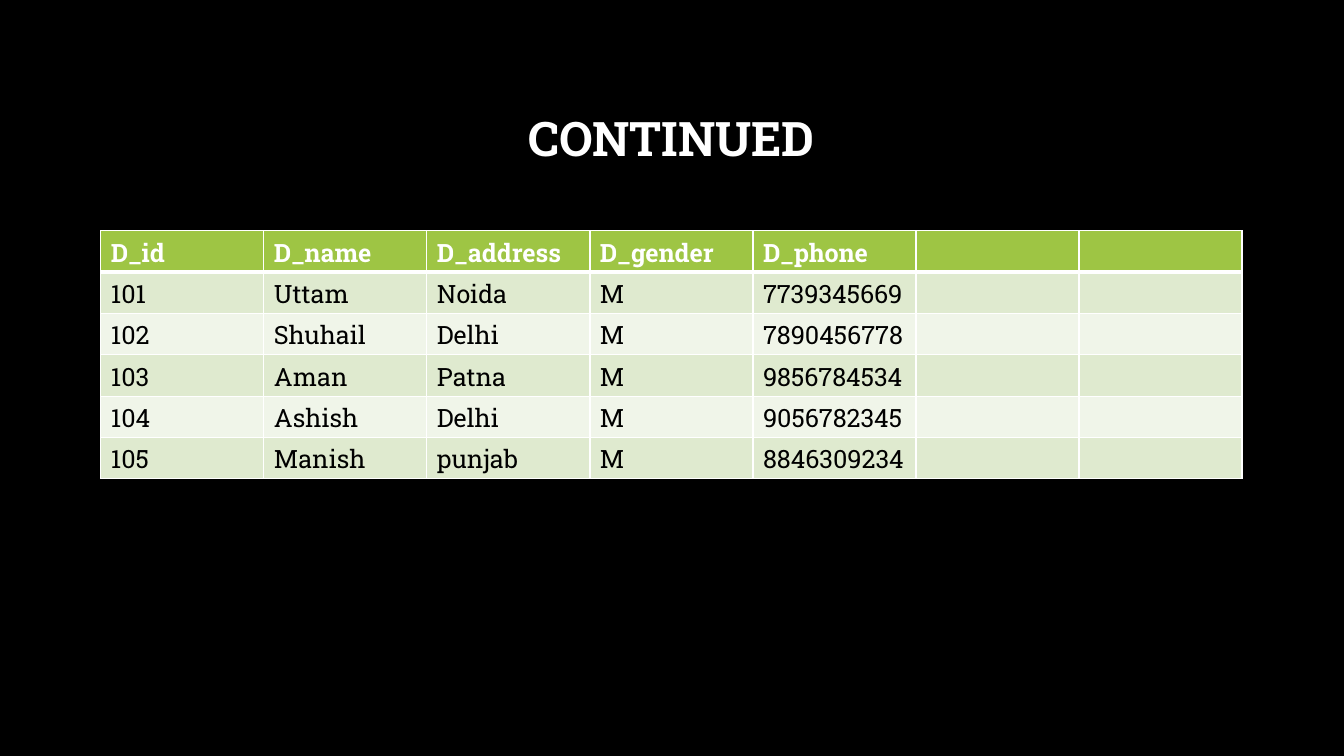
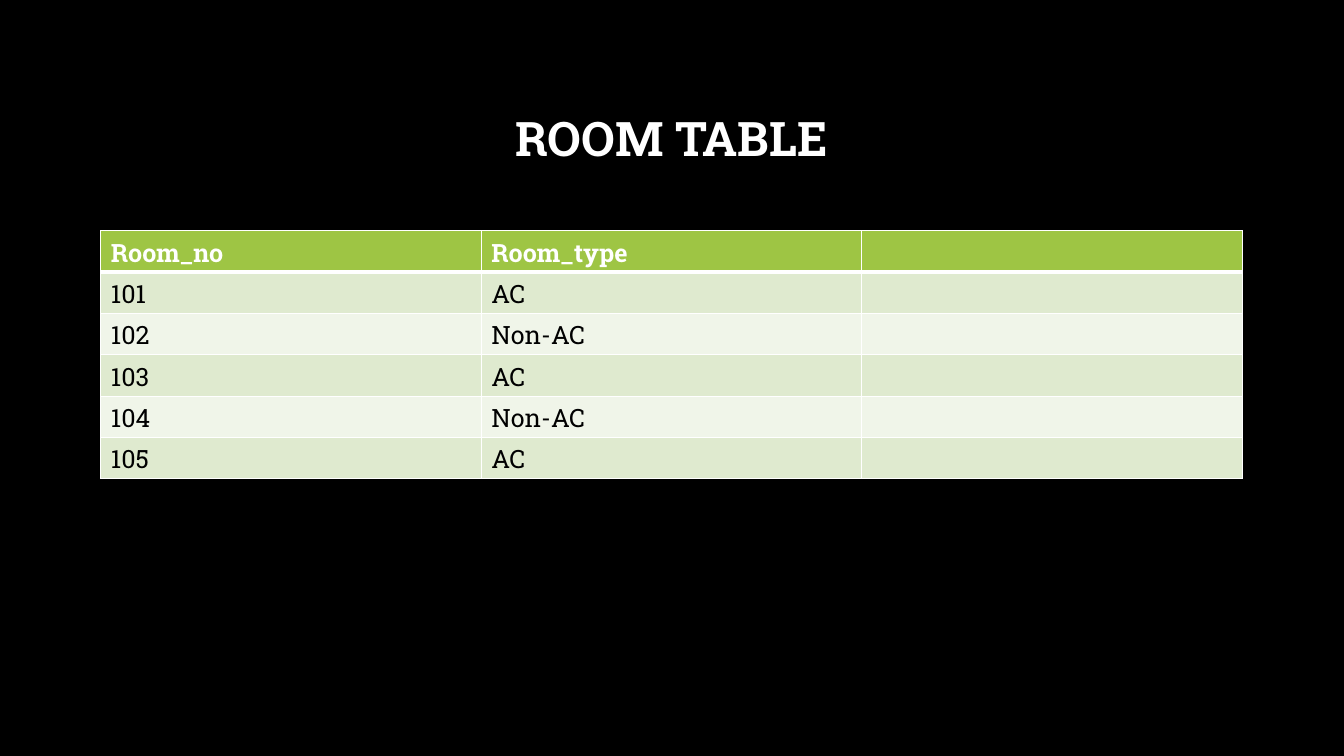
from lxml.etree import SubElement
from pptx import Presentation
from pptx.dml.color import RGBColor
from pptx.enum.text import MSO_ANCHOR, PP_ALIGN
from pptx.oxml.ns import qn
from pptx.util import Inches, Pt

# Content: title, header, rows; unlabelled columns stay empty
SLIDES = [
    ("CONTINUED",
     ["D_id", "D_name", "D_address", "D_gender", "D_phone", "", ""],
     [("101", "Uttam", "Noida", "M", "7739345669"),
      ("102", "Shuhail", "Delhi", "M", "7890456778"),
      ("103", "Aman", "Patna", "M", "9856784534"),
      ("104", "Ashish", "Delhi", "M", "9056782345"),
      ("105", "Manish", "punjab", "M", "8846309234")]),
    ("ROOM TABLE",
     ["Room_no", "Room_type", ""],
     [("101", "AC"), ("102", "Non-AC"), ("103", "AC"),
      ("104", "Non-AC"), ("105", "AC")]),
]

# Shared style
COLORS = {"back": "000000", "title": "FFFFFF", "border": "FFFFFF",
          "header": "9EC544", "header_text": "FFFFFF", "body_text": "000000",
          "odd": "DFEACF", "even": "F0F5E9"}
FONT = "Roboto Slab"
LEFT, WIDTH = 1, 11.32
TITLE_TOP, TITLE_HEIGHT = 0.67, 1.45
TABLE_TOP, ROW_HEIGHT = 2.29, 0.41


def rgb(name):
    return RGBColor.from_string(COLORS[name])


def style(p, size, color, bold):
    p.font.name, p.font.size, p.font.bold = FONT, Pt(size), bold
    p.font.color.rgb = rgb(color)


def add_borders(cell, widths):
    """Draw the cell's edges; the lines must precede the fill in tcPr."""
    tcPr = cell._tc.get_or_add_tcPr()
    for i, (side, width) in enumerate(widths.items()):
        ln = SubElement(tcPr, qn(f"a:ln{side}"), w=str(Pt(width)))
        fill = SubElement(ln, qn("a:solidFill"))
        SubElement(fill, qn("a:srgbClr"), val=COLORS["border"])
        tcPr.insert(i, ln)


def add_title(s, text):
    box = s.shapes.add_textbox(Inches(LEFT), Inches(TITLE_TOP),
                               Inches(WIDTH), Inches(TITLE_HEIGHT))
    tf = box.text_frame
    tf.word_wrap, tf.vertical_anchor = True, MSO_ANCHOR.MIDDLE
    p = tf.paragraphs[0]
    p.text, p.alignment, p.line_spacing = text, PP_ALIGN.CENTER, 0.9
    style(p, 34, "title", True)


def add_grid(s, header, rows):
    lines = [header, *rows]
    table = s.shapes.add_table(
        len(lines), len(header), Inches(LEFT), Inches(TABLE_TOP),
        Inches(WIDTH), Inches(ROW_HEIGHT * len(lines))).table
    for r, line in enumerate(lines):
        is_header = r == 0
        fill = "header" if is_header else "odd" if r % 2 else "even"
        color = "header_text" if is_header else "body_text"
        # A heavy rule parts the header from the first body row
        widths = {"L": 1, "R": 1, "T": 3 if r == 1 else 1, "B": 3 if is_header else 1}
        for c in range(len(header)):
            cell = table.cell(r, c)
            cell.fill.solid()
            cell.fill.fore_color.rgb = rgb(fill)
            add_borders(cell, widths)
            p = cell.text_frame.paragraphs[0]
            if c < len(line) and line[c]:
                p.text = line[c]
            style(p, 18, color, is_header)


def main():
    prs = Presentation()
    prs.slide_width, prs.slide_height = Inches(13.33), Inches(7.5)
    for title, header, rows in SLIDES:
        s = prs.slides.add_slide(prs.slide_layouts[6])
        s.background.fill.solid()
        s.background.fill.fore_color.rgb = rgb("back")
        add_title(s, title)
        add_grid(s, header, rows)
    prs.save("out.pptx")


if __name__ == "__main__":
    main()
